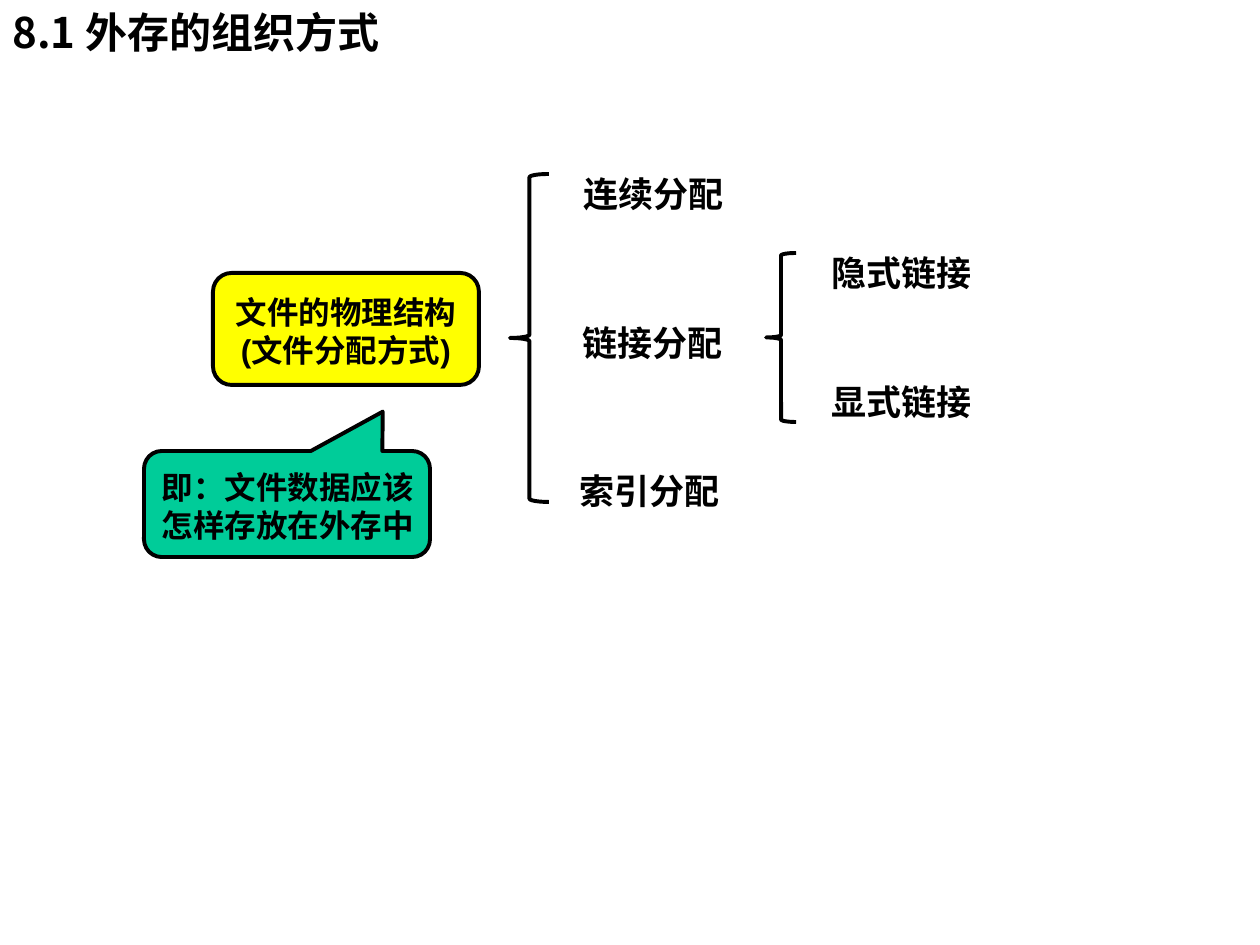
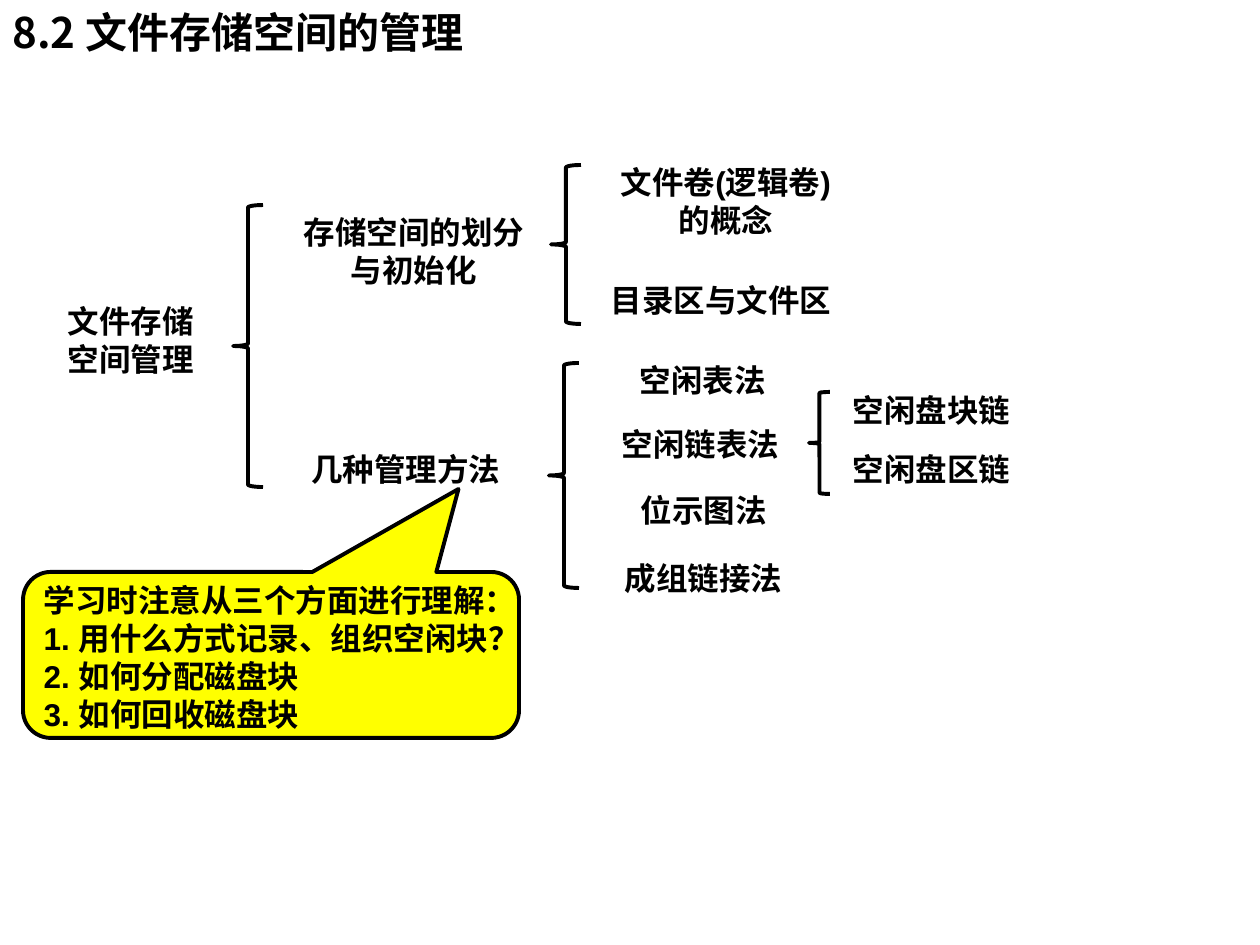
from lxml.etree import SubElement
from pptx import Presentation
from pptx.dml.color import RGBColor
from pptx.enum.shapes import MSO_SHAPE as Shape
from pptx.enum.text import MSO_ANCHOR as Anchor, MSO_AUTO_SIZE as AutoSize, PP_ALIGN as Align
from pptx.oxml.ns import qn
from pptx.util import Pt

EMU_PER_PX = 914400 / 126
SLIDE_WIDTH, SLIDE_HEIGHT = 1260, 945
BLACK = RGBColor(0x00, 0x00, 0x00)
YELLOW = RGBColor(0xFF, 0xFF, 0x00)
GREEN = RGBColor(0x00, 0xCC, 0x99)
CHINESE_FONT = "Noto Sans CJK SC"
LATIN_FONT = "Arial"
LINE_HEIGHT = 1.2
OUTLINE = Pt(2.25)


def px(length):
    return round(length * EMU_PER_PX)


def box(left, top, width, height):
    return [px(length) for length in (left, top, width, height)]


def set_values(target, values):
    for name, value in values.items():
        setattr(target, name, value)


def write_text(shape, lines, size, font=LATIN_FONT, align=Align.LEFT, line_spacing=None, **frame_format):
    """Fill a shape with one bold paragraph per line."""
    frame = shape.text_frame
    set_values(frame, frame_format)
    for index, line in enumerate(lines):
        paragraph = frame.paragraphs[0] if index == 0 else frame.add_paragraph()
        set_values(paragraph, {"alignment": align, "line_spacing": line_spacing})
        run = paragraph.add_run()
        run.text = line
        set_values(run.font, {"name": font, "size": Pt(size), "bold": True})
        run.font.color.rgb = BLACK
        SubElement(run.font._element, qn("a:ea"), typeface=CHINESE_FONT)


def write_body(shape, lines, size, align, **frame_format):
    write_text(shape, lines, size, align=align, line_spacing=Pt(size * LINE_HEIGHT),
               margin_top=px(8), margin_bottom=px(4), **frame_format)


def add_titled_slide(presentation, title):
    slide = presentation.slides.add_slide(presentation.slide_layouts[6])
    title_box = slide.shapes.add_textbox(*box(0, 0, SLIDE_WIDTH, 63))
    write_text(title_box, [title], 24, font=CHINESE_FONT, word_wrap=True,
               vertical_anchor=Anchor.MIDDLE, margin_top=0, margin_bottom=0)
    return slide


def add_label(slide, left, top, width, *lines, size=18, align=Align.CENTER, rows=1):
    """Add a wrapping text box tall enough for the given rows."""
    height = 12 + rows * size * LINE_HEIGHT * 126 / 72
    label = slide.shapes.add_textbox(*box(left, top, width, height))
    write_body(label, lines, size, align, word_wrap=True, auto_size=AutoSize.SHAPE_TO_FIT_TEXT)


def add_outlined(slide, kind, bounds, fill=None, adjustments=()):
    shape = slide.shapes.add_shape(kind, *box(*bounds))
    shape.shadow.inherit = False
    if fill is None:
        shape.fill.background()
    else:
        shape.fill.solid()
        shape.fill.fore_color.rgb = fill
    shape.line.color.rgb = BLACK
    shape.line.width = OUTLINE
    for index, value in enumerate(adjustments):
        shape.adjustments[index] = value
    return shape


def add_brace(slide, *bounds, adjustments=()):
    add_outlined(slide, Shape.LEFT_BRACE, bounds, adjustments=adjustments)


def add_note(slide, kind, bounds, fill, lines, align=Align.LEFT, adjustments=()):
    note = add_outlined(slide, kind, bounds, fill, adjustments)
    write_body(note, lines, 18, align, word_wrap=False, vertical_anchor=Anchor.MIDDLE)


def build_organization(presentation):
    slide = add_titled_slide(presentation, "8.1 外存的组织方式")
    add_note(slide, Shape.ROUNDED_RECTANGLE, (213, 273, 266, 112), YELLOW,
             ["文件的物理结构", "(文件分配方式)"], Align.CENTER)
    add_brace(slide, 510, 174, 39, 328)
    add_brace(slide, 766, 253, 30, 169)
    for left, top, text in [(571, 164, "连续分配"), (570, 313, "链接分配"), (567, 461, "索引分配"),
                            (819, 243, "隐式链接"), (819, 372, "显式链接")]:
        add_label(slide, left, top, 200, text, size=20, align=Align.LEFT)
    add_note(slide, Shape.ROUNDED_RECTANGULAR_CALLOUT, (144, 451, 286, 106), GREEN,
             ["即：文件数据应该", "怎样存放在外存中"], adjustments=(0.335, -0.872, 0.167))


def build_space_management(presentation):
    slide = add_titled_slide(presentation, "8.2 文件存储空间的管理")
    add_label(slide, 44, 294, 173, "文件存储空间管理", rows=2)
    add_label(slide, 288, 205, 252, "存储空间的划分", "与初始化", rows=2)
    add_label(slide, 600, 155, 252, "文件卷(逻辑卷)的概念", rows=2)
    for left, top, width, text in [
        (280, 442, 252, "几种管理方法"),
        (595, 273, 252, "目录区与文件区"),
        (610, 353, 186, "空闲表法"),
        (597, 417, 207, "空闲链表法"),
        (600, 483, 207, "位示图法"),
        (600, 551, 207, "成组链接法"),
        (828, 383, 207, "空闲盘块链"),
        (828, 442, 207, "空闲盘区链"),
    ]:
        add_label(slide, left, top, width, text)
    for left, top, height in [(233, 205, 282), (551, 165, 159), (549, 363, 225)]:
        add_brace(slide, left, top, 30, height)
    add_brace(slide, 809, 392, 21, 102, adjustments=(0.05, 0.5))
    add_note(slide, Shape.ROUNDED_RECTANGULAR_CALLOUT, (23, 572, 496, 166), YELLOW,
             ["学习时注意从三个方面进行理解：", "1. 用什么方式记录、组织空闲块？",
              "2. 如何分配磁盘块", "3. 如何回收磁盘块"], adjustments=(0.378, -1, 0.167))


def main():
    presentation = Presentation()
    set_values(presentation, {"slide_width": px(SLIDE_WIDTH), "slide_height": px(SLIDE_HEIGHT)})
    build_organization(presentation)
    build_space_management(presentation)
    presentation.save("out.pptx")


if __name__ == "__main__":
    main()
